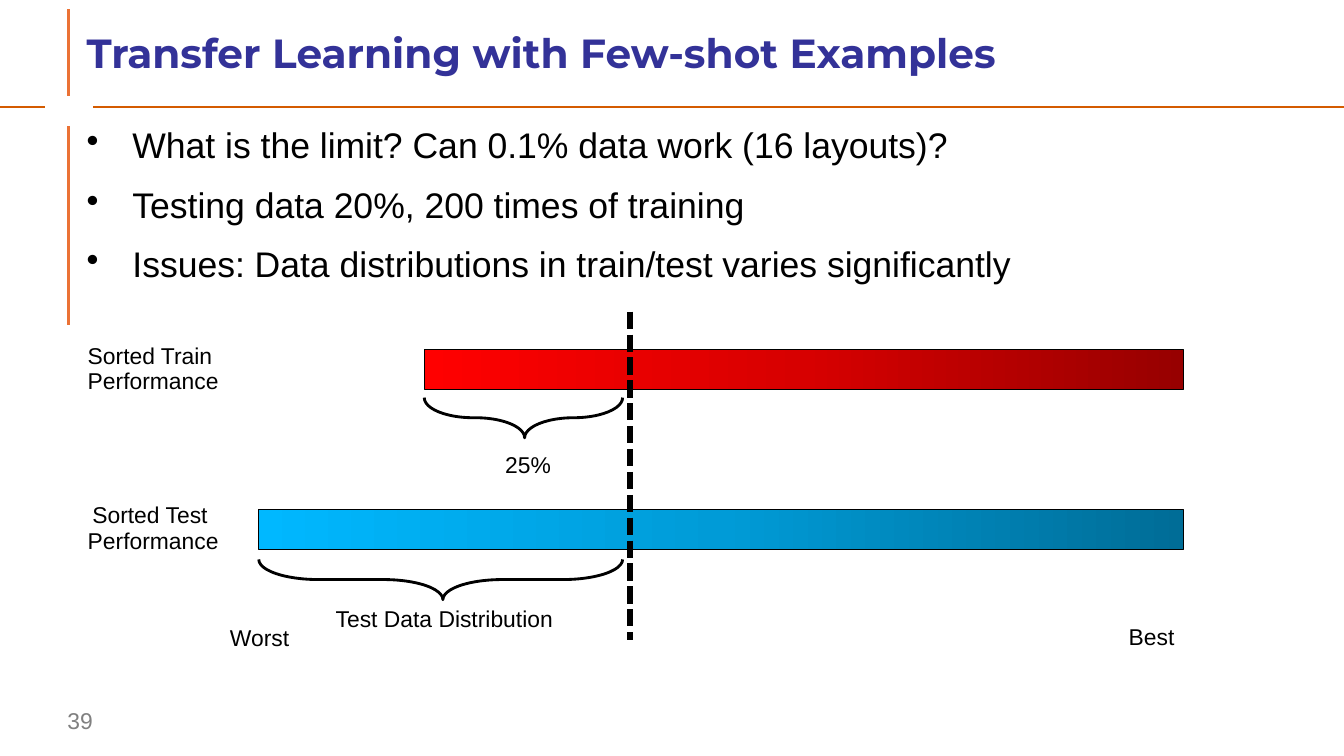
"""Build the slide on transfer learning with few-shot examples."""
from copy import deepcopy

from lxml import etree
from pptx import Presentation
from pptx import util as u
from pptx.dml.color import RGBColor
from pptx.enum import dml, shapes, text
from pptx.oxml.ns import qn

PX = 9144
WIDTH, HEIGHT = 1470, 827

BLACK = RGBColor(0x00, 0x00, 0x00)
GRAY = RGBColor(0x80, 0x80, 0x80)
INDIGO = RGBColor(0x33, 0x32, 0x98)
ORANGE = RGBColor(0xD4, 0x5B, 0x00)
CORAL = RGBColor(0xEB, 0x72, 0x35)
REDS = [RGBColor(0x97, 0x00, 0x00), RGBColor(0xD7, 0x00, 0x00), RGBColor(0xFF, 0x00, 0x00)]
BLUES = [RGBColor(0x00, 0x6D, 0x97), RGBColor(0x00, 0x9B, 0xD7), RGBColor(0x00, 0xB8, 0xFF)]

TITLE = "Transfer Learning with Few-shot Examples"
BULLETS = [
    "What is the limit? Can 0.1% data work (16 layouts)?",
    "Testing data 20%, 200 times of training",
    "Issues: Data distributions in train/test varies significantly",
]
PAGE_NUMBER = "39"
FRAME_LINES = [
    ((102, 117, WIDTH, 117), ORANGE, 2.25),
    ((0, 117, 49, 117), ORANGE, 2.25),
    ((75, 10, 75, 105), CORAL, 2.5),
    ((75, 138, 75, 355), CORAL, 2.5),
]
BAR_RIGHT, BAR_HEIGHT = 1294, 44
BRACE_RIGHT, BRACE_HEIGHT = 681, 44
BARS = [
    (283, 557, BLUES, 612),
    (464, 382, REDS, 435),
]
CUTOFF = (689, 341, 689, 700)
LABELS = [
    (["Sorted Train ", "Performance"], (85, 371, 165, 66)),
    (["Sorted Test ", "Performance"], (85, 546, 165, 66)),
    (["25%"], (542, 491, 71, 38)),
    (["Test Data Distribution"], (356, 659, 260, 38)),
    (["Worst"], (241, 680, 86, 38)),
    (["Best"], (1224, 679, 71, 38)),
]


def px(*lengths):
    return [u.Emu(round(length * PX)) for length in lengths]


def add_line(slide, ends, color, weight):
    line = slide.shapes.add_connector(shapes.MSO_CONNECTOR.STRAIGHT, *px(*ends))
    line.line.color.rgb = color
    line.line.width = u.Pt(weight)
    etree.SubElement(line.element.spPr, qn("a:effectLst"))
    return line


def add_text(slide, lines, box, size, color=BLACK, font="Arial", spacing=0.93):
    shape = slide.shapes.add_textbox(*px(*box))
    frame = shape.text_frame
    frame.word_wrap = True
    frame.text = "\n".join(lines)
    for paragraph in frame.paragraphs:
        paragraph.line_spacing = spacing
        paragraph.font.size = u.Pt(size)
        paragraph.font.name = font
        paragraph.font.color.rgb = color
    return frame


def add_bullet(paragraph):
    properties = paragraph._p.get_or_add_pPr()
    properties.set("marL", str(50 * PX))
    properties.set("indent", str(-50 * PX))
    bullet = etree.Element(qn("a:buChar"), char="•")
    properties.find(qn("a:defRPr")).addprevious(bullet)
    paragraph.space_after = u.Pt(15.6)


def add_bar(slide, left, top, colors):
    bar = slide.shapes.add_shape(
        shapes.MSO_SHAPE.RECTANGLE, *px(left, top, BAR_RIGHT - left, BAR_HEIGHT))
    bar.shadow.inherit = False
    bar.fill.gradient()
    stops = bar.element.spPr.find(qn("a:gradFill")).find(qn("a:gsLst"))
    stops.append(deepcopy(stops[0]))
    for index, (stop, color) in enumerate(zip(bar.fill.gradient_stops, colors)):
        stop.position = index / 2
        stop.color.rgb = color
    bar.fill.gradient_angle = 180
    bar.line.color.rgb = BLACK
    bar.line.width = u.Pt(0.75)


def add_brace(slide, left, top):
    span = BRACE_RIGHT - left
    inset = (span - BRACE_HEIGHT) / 2
    brace = slide.shapes.add_shape(
        shapes.MSO_SHAPE.RIGHT_BRACE, *px(left + inset, top - inset, BRACE_HEIGHT, span))
    brace.rotation = 90
    brace.adjustments[0] = 1.477
    brace.adjustments[1] = 0.494
    brace.shadow.inherit = False
    brace.fill.background()
    brace.line.color.rgb = BLACK
    brace.line.width = u.Pt(2.25)


def main():
    presentation = Presentation()
    presentation.slide_width, presentation.slide_height = px(WIDTH, HEIGHT)
    slide = presentation.slides.add_slide(presentation.slide_layouts[6])

    for ends, color, weight in FRAME_LINES:
        add_line(slide, ends, color, weight)

    title = add_text(slide, [TITLE], (85, 17, 1294, 86), 32, INDIGO, "Montserrat")
    title.vertical_anchor = text.MSO_ANCHOR.MIDDLE
    title.paragraphs[0].font.bold = True
    body = add_text(slide, BULLETS, (85, 134, 1269, 622), 28)
    for paragraph in body.paragraphs:
        add_bullet(paragraph)
    add_text(slide, [PAGE_NUMBER], (64, 768, 154, 35), 18, GRAY, spacing=1.0)

    for left, top, colors, brace_top in BARS:
        add_bar(slide, left, top, colors)
        add_brace(slide, left, brace_top)
    cutoff = add_line(slide, CUTOFF, BLACK, 4.5)
    cutoff.line.dash_style = dml.MSO_LINE.SQUARE_DOT

    for lines, box in LABELS:
        label = add_text(slide, lines, box, 18)
        label.word_wrap = False
        label.auto_size = text.MSO_AUTO_SIZE.SHAPE_TO_FIT_TEXT
        for paragraph in label.paragraphs:
            paragraph.alignment = text.PP_ALIGN.CENTER

    presentation.save("out.pptx")


if __name__ == "__main__":
    main()
